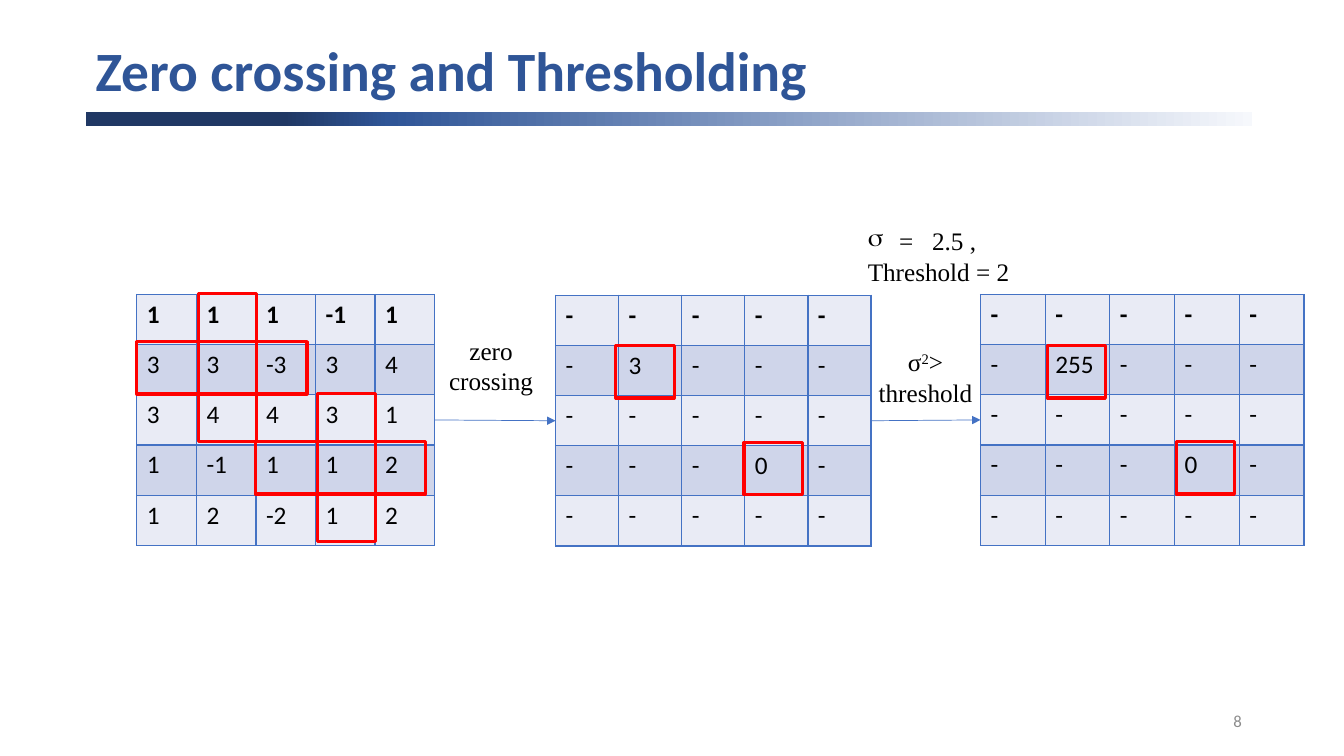
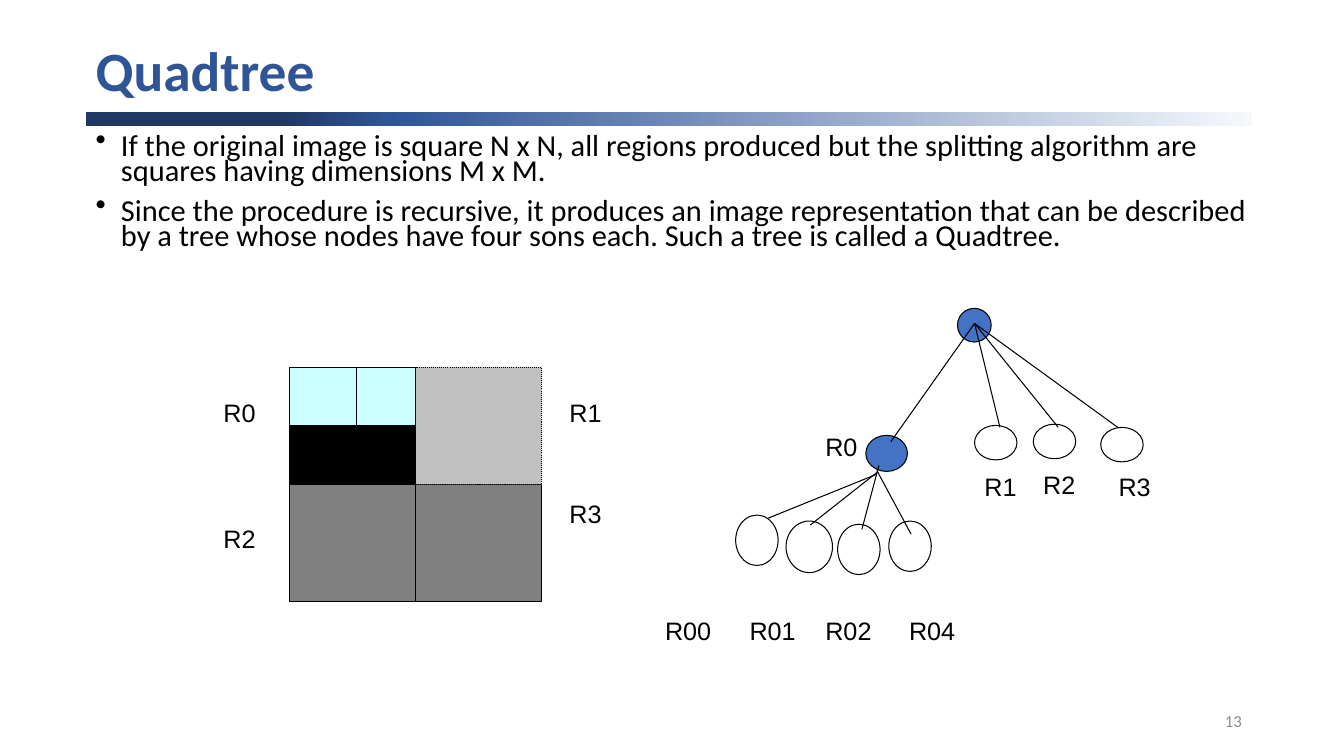
from lxml import etree
from pptx import Presentation
from pptx import util as u
from pptx.dml.color import RGBColor
from pptx.enum import dml, shapes, text
from pptx.oxml import ns

Cm, Pt = u.Cm, u.Pt
CENTER, RIGHT = text.PP_ALIGN.CENTER, text.PP_ALIGN.RIGHT
RECT, OVAL = shapes.MSO_SHAPE.RECTANGLE, shapes.MSO_SHAPE.OVAL

COLORS = {
    "title": "2F5597", "number": "8C8C8C", "text": "000000",
    "accent": "4472C4", "mark": "FF0000", "odd": "E9EBF5", "even": "CFD5EA",
    "white": "FFFFFF", "black": "000000", "gray": "808080",
    "silver": "C0C0C0", "cyan": "CCFFFF",
}
BAND_STOPS = [(0, "203864"), (17, "203864"), (26, "2F5597"), (100, "F6F8FC")]

ROW_HEIGHT = 1.265
GRIDS = [
    {"left": 3.45, "top": 7.42, "column": 1.5, "rows": [
        "1 1 1 -1 1", "3 3 -3 3 4", "3 4 4 3 1", "1 -1 1 1 2", "1 2 -2 1 2"]},
    {"left": 14, "top": 7.44, "column": 1.59, "rows": [
        "- - - - -", "- 3 - - -", "- - - - -", "- - - 0 -", "- - - - -"]},
    {"left": 24.71, "top": 7.42, "column": 1.63, "rows": [
        "- - - - -", "- 255 - - -", "- - - - -", "- - - 0 -", "- - - - -"]},
]
MARKS = [
    ((1.47, 3.73), [(5, 7.39), (8, 9.91)]),
    ((4.29, 1.32), [(3.45, 8.61), (6.43, 11.13)]),
    ((1.47, 1.32), [(15.52, 8.71), (18.75, 11.15), (26.39, 8.71), (29.64, 11.13)]),
]
STEPS = [
    ((10.52, 8.33, 3.71, 1.85), ["zero", "crossing"]),
    ((21.79, 8.61, 3.07, 1.8), ["σ^2^>", "threshold"]),
]
SETTINGS = ["=\t2.5 ,", "Threshold = 2"]

POINTS = [
    "If the original image is square N x N, all regions produced but the splitting "
    "algorithm are squares having dimensions M x M.",
    "Since the procedure is recursive, it produces an image representation that can be "
    "described by a tree whose nodes have four sons each. Such a tree is called a Quadtree.",
]
IMAGE_LEFT, IMAGE_TOP = 7.29, 9.25
REGION_W, REGION_H, SPLIT = 3.18, 2.96, 1.7
REGIONS = [
    (0, REGION_H, REGION_W, REGION_H, "gray"),
    (REGION_W, REGION_H, REGION_W, REGION_H, "gray"),
    (REGION_W, 0, REGION_W, REGION_H, "silver"),
    (0, 0, REGION_W, REGION_H, "black"),
    (0, 0, SPLIT, REGION_H / 2, "cyan"),
    (SPLIT, 0, REGION_W - SPLIT, REGION_H / 2, "cyan"),
]
NODES = [
    (18.54, 12.98, 1.07, 1.27, "white"),
    (22.4, 13.13, 1.07, 1.27, "white"),
    (21.11, 13.21, 1.07, 1.27, "white"),
    (19.81, 13.13, 1.17, 1.3, "white"),
    (24.56, 10.72, 1.07, 0.87, "white"),
    (26.04, 10.69, 1.07, 0.87, "white"),
    (27.74, 10.77, 1.07, 0.87, "white"),
    (24.13, 7.77, 0.85, 0.85, "accent"),
    (21.82, 10.97, 1.05, 0.91, "accent"),
]
ROOT = (24.56, 8.15)
BRANCHES = [
    (ROOT, (25.2, 10.77)), (ROOT, (26.67, 10.77)),
    (ROOT, (28.17, 10.77)), (ROOT, (22.45, 11.13)),
    ((22.07, 11.96), (19.35, 13.06)), ((22.12, 11.89), (20.42, 13.23)),
    ((22.15, 11.73), (21.72, 13.34)), ((22.1, 11.86), (22.96, 13.46)),
]
LABELS = [
    ("R0", 5.38, 9.88), ("R1", 14.1, 9.88), ("R2", 5.38, 13.06), ("R3", 14.1, 12.42),
    ("R0", 20.55, 10.74), ("R1", 24.56, 11.76), ("R2", 26.04, 11.71), ("R3", 27.94, 11.76),
    ("R00", 16.51, 15.37), ("R01", 18.64, 15.37), ("R02", 20.55, 15.37), ("R04", 22.66, 15.37),
]


def rgb(name):
    return RGBColor.from_string(COLORS[name])


def add_xml(parent, tag, **attributes):
    return etree.SubElement(parent, ns.qn(tag), {k: str(v) for k, v in attributes.items()})


def add_box(slide, kind, place, fill=None, line=None, weight=0.75):
    box = slide.shapes.add_shape(kind, *map(Cm, place))
    box.shadow.inherit = False
    if fill:
        box.fill.solid()
        box.fill.fore_color.rgb = rgb(fill)
    else:
        box.fill.background()
    if line:
        box.line.color.rgb = rgb(line)
        box.line.width = Pt(weight)
    else:
        box.line.fill.background()
    return box


def style(paragraph, font, size, color="text", bold=False):
    paragraph.font.name = font
    paragraph.font.size = Pt(size)
    paragraph.font.color.rgb = rgb(color)
    paragraph.font.bold = bold


def add_bullet(paragraph, char, indent, tab=None):
    properties = paragraph._p.get_or_add_pPr()
    properties.set("marL", str(Cm(indent)))
    properties.set("indent", str(-Cm(indent)))
    add_xml(properties, "a:buChar", char=char)
    if tab:
        add_xml(add_xml(properties, "a:tabLst"), "a:tab", pos=Cm(tab), algn="l")


def add_text(slide, place, lines, font, size, color="text", bold=False, align=None,
             middle=False, bullets=(), spacing=None, before=0):
    frame = slide.shapes.add_textbox(*map(Cm, place)).text_frame
    frame.word_wrap = True
    if middle:
        frame.vertical_anchor = text.MSO_ANCHOR.MIDDLE
    for i, line in enumerate(lines):
        paragraph = frame.paragraphs[0] if i == 0 else frame.add_paragraph()
        for j, part in enumerate(line.split("^")):
            run = paragraph.add_run()
            run.text = part
            if j % 2:
                run._r.get_or_add_rPr().set("baseline", "30000")
        if i < len(bullets):
            add_bullet(paragraph, *bullets[i])
        if align:
            paragraph.alignment = align
        if spacing:
            paragraph.line_spacing = spacing
        if i and before:
            paragraph.space_before = Pt(before)
        style(paragraph, font, size, color, bold)


def add_line(slide, start, end, color, weight, arrow=False):
    line = slide.shapes.add_connector(
        shapes.MSO_CONNECTOR.STRAIGHT, *map(Cm, start + end))
    line.line.color.rgb = rgb(color)
    line.line.width = Pt(weight)
    if arrow:
        add_xml(line.line._get_or_add_ln(), "a:tailEnd", type="triangle")
    add_xml(line._element.spPr, "a:effectLst")


def add_slide(deck, title, number):
    slide = deck.slides.add_slide(deck.slide_layouts[6])
    band = add_box(slide, RECT, (2.16, 2.82, 29.39, 0.36))
    band.fill.gradient()
    band.fill.gradient_angle = 0
    stops = band._element.spPr.find(".//" + ns.qn("a:gsLst"))
    for stop in list(stops):
        stops.remove(stop)
    for position, color in BAND_STOPS:
        add_xml(add_xml(stops, "a:gs", pos=position * 1000), "a:srgbClr", val=color)
    add_text(slide, (2.16, 1.02, 30.84, 1.68), [title], "Calibri", 39.6, "title",
             bold=True, middle=True, spacing=0.9)
    add_text(slide, (23.93, 17.65, 7.62, 1.02), [number], "Calibri", 12, "number",
             align=RIGHT, middle=True)
    return slide


def add_borders(cell):
    properties = cell._tc.get_or_add_tcPr()
    for i, side in enumerate(("a:lnL", "a:lnR", "a:lnT", "a:lnB")):
        border = add_xml(properties, side, w=Pt(1))
        add_xml(add_xml(border, "a:solidFill"), "a:srgbClr", val=COLORS["accent"])
        properties.remove(border)
        properties.insert(i, border)


def add_grid(slide, grid):
    rows = [row.split() for row in grid["rows"]]
    count = len(rows[0])
    table = slide.shapes.add_table(
        len(rows), count, Cm(grid["left"]), Cm(grid["top"]),
        Cm(count * grid["column"]), Cm(len(rows) * ROW_HEIGHT)).table
    for column in table.columns:
        column.width = Cm(grid["column"])
    for r, row in enumerate(rows):
        table.rows[r].height = Cm(ROW_HEIGHT)
        for c, value in enumerate(row):
            cell = table.cell(r, c)
            cell.text = value
            cell.fill.solid()
            cell.fill.fore_color.rgb = rgb("even" if r % 2 else "odd")
            add_borders(cell)
            style(cell.text_frame.paragraphs[0], "Calibri", 18, bold=r == 0)


def grid_middle(grid, right=False):
    width = len(grid["rows"][0].split()) * grid["column"] if right else 0
    return grid["left"] + width, grid["top"] + len(grid["rows"]) * ROW_HEIGHT / 2


def build_thresholding(deck):
    slide = add_slide(deck, "Zero crossing and Thresholding", "8")
    for grid in GRIDS:
        add_grid(slide, grid)
    for source, target in zip(GRIDS, GRIDS[1:]):
        add_line(slide, grid_middle(source, right=True), grid_middle(target),
                 "accent", 0.5, arrow=True)
    for place, lines in STEPS:
        add_text(slide, place, lines, "Times New Roman", 18, align=CENTER)
    for size, corners in MARKS:
        for corner in corners:
            add_box(slide, RECT, corner + size, line="mark", weight=2.25)
    add_text(slide, (21.62, 5.56, 4.3, 1.8), SETTINGS, "Times New Roman", 18,
             bullets=[("σ", 0.79, 1.62)])


def build_quadtree(deck):
    slide = add_slide(deck, "Quadtree", "13")
    add_text(slide, (2.16, 3.3, 29.77, 3.53), POINTS, "Calibri", 21.7,
             bullets=[("•", 0.64)] * len(POINTS), spacing=0.7, before=10)
    for x, y, width, height, fill in REGIONS:
        region = add_box(slide, RECT, (IMAGE_LEFT + x, IMAGE_TOP + y, width, height),
                         fill, "black")
        if fill == "silver":
            region.line.dash_style = dml.MSO_LINE.ROUND_DOT
    for *place, fill in NODES:
        add_box(slide, OVAL, place, fill, "black")
    for start, end in BRANCHES:
        add_line(slide, start, end, "black", 0.75)
    for label, left, top in LABELS:
        add_text(slide, (left, top, 0.45 * len(label) + 0.55, 1.02), [label], "Arial", 18)


def main():
    deck = Presentation()
    deck.slide_width, deck.slide_height = Cm(33.87), Cm(19.05)
    build_thresholding(deck)
    build_quadtree(deck)
    deck.save("out.pptx")


if __name__ == "__main__":
    main()
